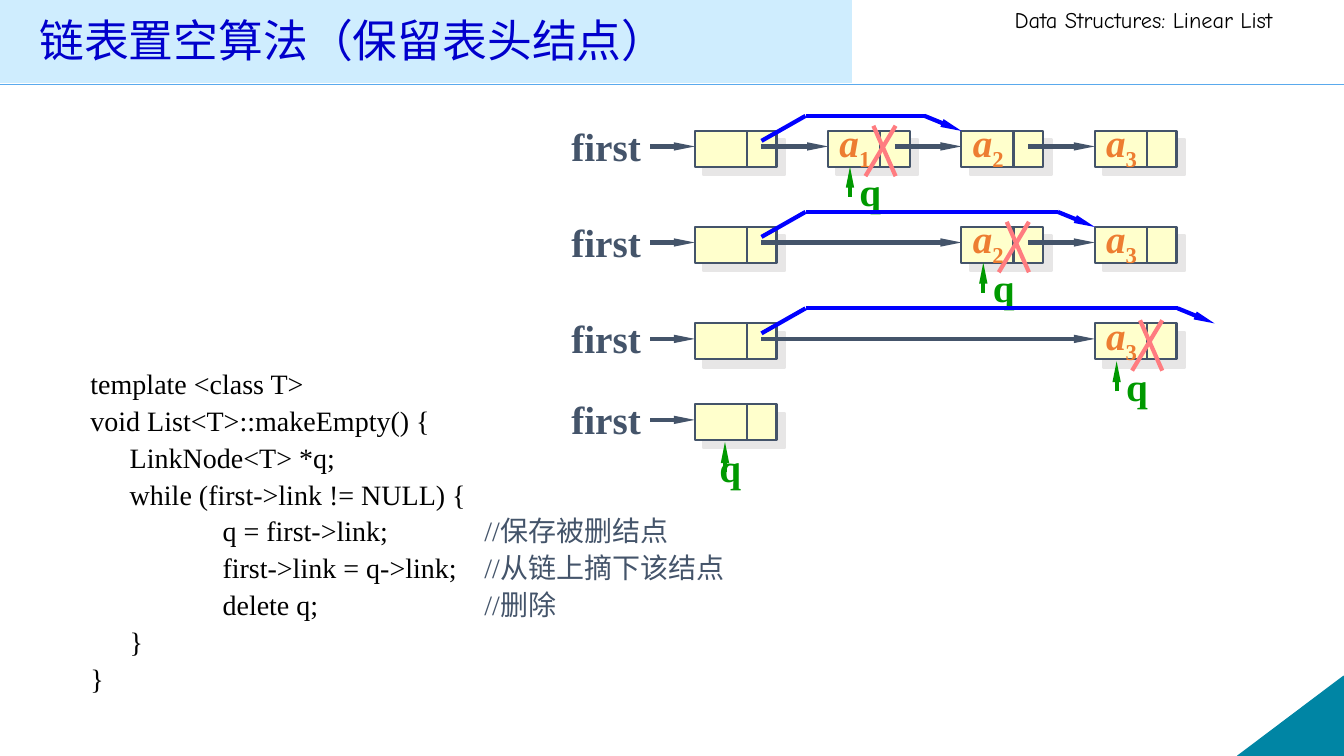
from dataclasses import dataclass
from itertools import pairwise

from lxml.etree import SubElement
from pptx import Presentation
from pptx.dml.color import RGBColor
from pptx.enum.shapes import MSO_CONNECTOR, MSO_SHAPE
from pptx.enum.text import MSO_ANCHOR, PP_ALIGN
from pptx.oxml.ns import qn
from pptx.util import Cm, Pt

COLORS = {
    "title": "0000CC", "band": "CFEDFE", "rule": "5AAAED", "corner": "0085A4",
    "black": "000000", "slate": "44546A", "node": "FFFFCC", "shadow": "E7E6E6",
    "bypass": "0000FF", "pointer": "009900", "cross": "FF7C80", "data": "ED7D31",
}
SERIF = "Times New Roman"

# Measures in centimetres
FIRST_LEFT, PITCH = 17.51, 3.36
NODE_WIDTH, NODE_HEIGHT = 2.06, 0.9
DIVIDER, LINK_START, LINK_HEIGHT = 1.31, 1.68, 0.39
CODE_TABS = (0.99, 3.33, 9.93)


@dataclass(frozen=True)
class ListRow:
    top: float
    nodes: tuple[int, ...]  # columns of the data nodes, the first one is deleted
    bypass_end: float | None = None
    marker_drop: float = 0
    pointer_offset: float = 0.55
    pointer_label: float = 0.53


@dataclass(frozen=True)
class CodeLine:
    code: str
    comment: str = ""


ROWS = (
    ListRow(3.3, (1, 2, 3), FIRST_LEFT + 2 * PITCH),
    ListRow(5.72, (2, 3), FIRST_LEFT + 3 * PITCH),
    ListRow(8.15, (3,), 30.61, marker_drop=0.05),
    ListRow(10.19, (), marker_drop=0.05, pointer_offset=0.76, pointer_label=0.36),
)

CODE = (
    CodeLine("template <class T>"),
    CodeLine("void List<T>::makeEmpty() {"),
    CodeLine("\tLinkNode<T> *q;"),
    CodeLine("\twhile (first->link != NULL) {"),
    CodeLine("\t\tq = first->link;\t", "//保存被删结点"),
    CodeLine("\t\tfirst->link = q->link;\t", "//从链上摘下该结点"),
    CodeLine("\t\tdelete q;\t", "//删除"),
    CodeLine("\t}"),
    CodeLine("}"),
)

presentation = Presentation()
presentation.slide_width, presentation.slide_height = Cm(33.87), Cm(19.05)
slide = presentation.slides.add_slide(presentation.slide_layouts[6])


def rgb(name: str) -> RGBColor:
    return RGBColor.from_string(COLORS[name])


def style(font, size: float, color: str, name: str = SERIF, bold: bool = False) -> None:
    font.size, font.name, font.bold = Pt(size), name, bold
    font.color.rgb = rgb(color)


def add_line(x1: float, y1: float, x2: float, y2: float, color: str,
             width: float = 3, arrow: bool = False) -> None:
    line = slide.shapes.add_connector(MSO_CONNECTOR.STRAIGHT, Cm(x1), Cm(y1), Cm(x2), Cm(y2))
    line.line.color.rgb = rgb(color)
    line.line.width = Pt(width)
    if arrow:
        SubElement(line.line._get_or_add_ln(), qn("a:tailEnd"), type="triangle", w="sm", len="lg")
    SubElement(line._element.spPr, qn("a:effectLst"))


def add_shape(kind, left: float, top: float, width: float, height: float,
              fill: str, outline: str | None = None, weight: float = 0.75):
    shape = slide.shapes.add_shape(kind, Cm(left), Cm(top), Cm(width), Cm(height))
    shape.shadow.inherit = False
    shape.fill.solid()
    shape.fill.fore_color.rgb = rgb(fill)
    if outline:
        shape.line.color.rgb = rgb(outline)
        shape.line.width = Pt(weight)
    else:
        shape.line.fill.background()
    return shape


def add_text(left: float, top: float, width: float, height: float, text: str = "", wrap: bool = True):
    text_frame = slide.shapes.add_textbox(Cm(left), Cm(top), Cm(width), Cm(height)).text_frame
    text_frame.word_wrap = wrap
    text_frame.text = text
    return text_frame


def add_label(left: float, top: float, width: float, text: str, color: str, subscript: str = "") -> None:
    text_frame = add_text(left, top, width, 1.45, text, wrap=False)
    text_frame.vertical_anchor = MSO_ANCHOR.MIDDLE
    paragraph = text_frame.paragraphs[0]
    paragraph.alignment = PP_ALIGN.CENTER
    style(paragraph.runs[0].font, 28, color, bold=True)
    if subscript:
        paragraph.runs[0].font.italic = True
        run = paragraph.add_run()
        run.text = subscript
        style(run.font, 28, color, bold=True)
        run.font._element.set("baseline", "-25000")


def add_node(left: float, top: float) -> None:
    node = add_shape(MSO_SHAPE.RECTANGLE, left, top, NODE_WIDTH, NODE_HEIGHT, "node", "slate", 1.5)
    effects = node._element.spPr.find(qn("a:effectLst"))
    shadow = SubElement(effects, qn("a:outerShdw"), dist=str(Pt(8.5)), dir="2700000",
                        algn="ctr", rotWithShape="0")
    SubElement(shadow, qn("a:srgbClr"), val=COLORS["shadow"])
    add_line(left + DIVIDER, top, left + DIVIDER, top + NODE_HEIGHT, "slate", 1.5)


def add_row(row: ListRow) -> None:
    top = row.top
    lefts = [FIRST_LEFT + column * PITCH for column in (0, *row.nodes)]
    target = lefts[1] if row.nodes else lefts[0]
    link_y = top + LINK_HEIGHT

    # Nodes and links
    for left in lefts:
        add_node(left, top)
    add_line(FIRST_LEFT - 1.12, link_y, FIRST_LEFT, link_y, "slate", arrow=True)
    for left, following in pairwise(lefts):
        add_line(left + LINK_START, link_y, following, link_y, "slate", arrow=True)
    add_label(FIRST_LEFT - 3.38, top - 0.36, 2.29, "first", "slate")

    # Bypass around the deleted node
    if row.bypass_end is not None:
        bend, peak, last_bend = FIRST_LEFT + 2.79, top - 0.38, row.bypass_end - 0.93
        add_line(FIRST_LEFT + LINK_START, top + 0.25, bend, peak, "bypass")
        add_line(bend, peak, last_bend, peak, "bypass")
        add_line(last_bend, peak, row.bypass_end, top, "bypass", arrow=True)

    # Pointer q and the cross
    marker_top = top + row.marker_drop
    pointer_x = target + row.pointer_offset
    add_line(pointer_x, marker_top + 1.66, pointer_x, marker_top + NODE_HEIGHT, "pointer", arrow=True)
    add_label(target + row.pointer_label, marker_top + 0.79, 1.07, "q", "pointer")
    if row.nodes:
        for start, end in ((1.7, 0.94), (1.14, 1.7)):
            add_line(target + start, marker_top - 0.13, target + end, marker_top + 1.14, "cross")

    for column, left in zip(row.nodes, lefts[1:]):
        add_label(left, top - 0.36, 1.35, "a", "data", str(column))


def add_code() -> None:
    text_frame = add_text(2.03, 9.07, 16.71, 8.4)
    for index, line in enumerate(CODE):
        paragraph = text_frame.add_paragraph() if index else text_frame.paragraphs[0]
        paragraph.text = line.code
        paragraph.line_spacing = 1.05
        paragraph.space_before = Pt(1.1 if index else 0)
        tabs = SubElement(paragraph._element.get_or_add_pPr(), qn("a:tabLst"))
        for position in CODE_TABS:
            SubElement(tabs, qn("a:tab"), pos=str(Cm(position)), algn="l")
        style(paragraph.runs[0].font, 20, "black")
        if line.comment:
            run = paragraph.add_run()
            run.text = line.comment
            style(run.font, 20, "slate")


# Page frame
add_line(0, 2.13, 33.87, 2.13, "rule", 1)
corner = add_shape(MSO_SHAPE.RIGHT_TRIANGLE, 31.19, 17.04, 2.67, 2.01, "corner", "corner")
corner._element.spPr.xfrm.set("flipH", "1")
course = add_text(25.32, 0.03, 8.53, 0.94, "Data Structures: Linear List")
style(course.paragraphs[0].runs[0].font, 16, "black", "Comic Neue")
add_shape(MSO_SHAPE.RECTANGLE, -0.08, -0.18, 21.55, 2.27, "band")

# Title
title = add_text(0.74, 0.13, 29.21, 1.9, "链表置空算法（保留表头结点）")
title.vertical_anchor = MSO_ANCHOR.MIDDLE
title.paragraphs[0].line_spacing = 0.9
style(title.paragraphs[0].runs[0].font, 32, "title")

# Code and list diagrams
add_code()
for list_row in ROWS:
    add_row(list_row)

presentation.save("out.pptx")
